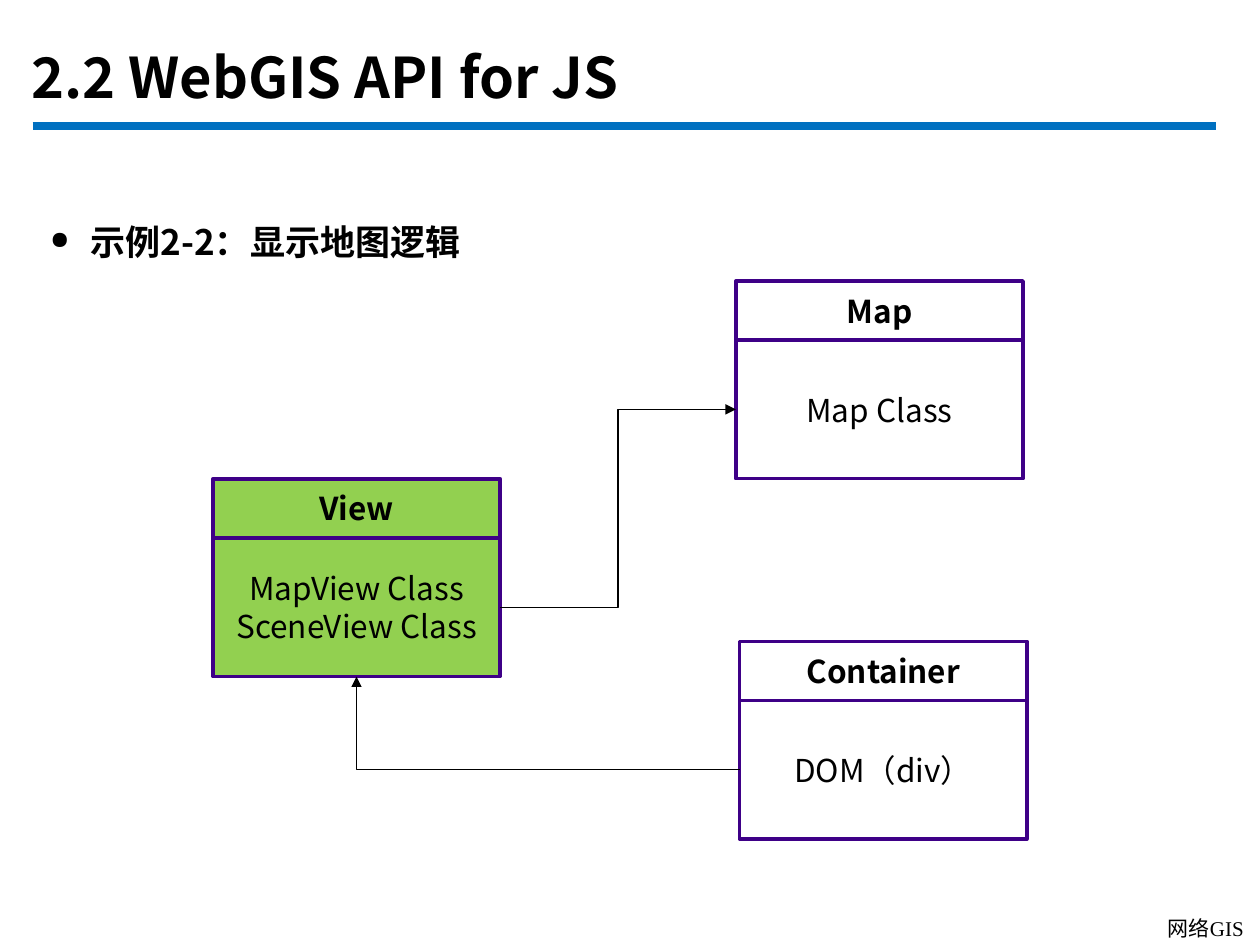
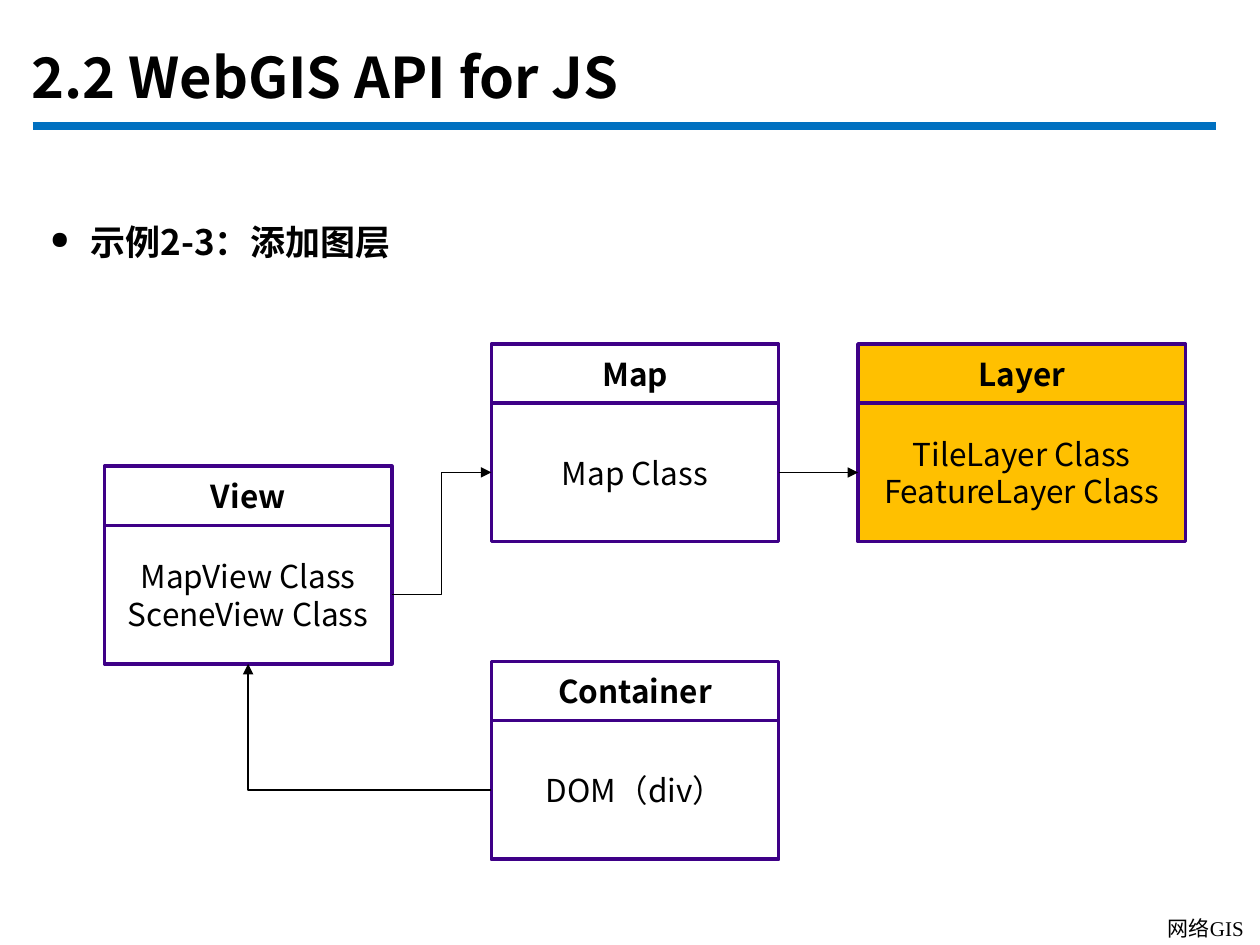
"""Builds two slides that show how the map classes of a web GIS relate."""
from dataclasses import dataclass

from lxml.etree import SubElement
from pptx import Presentation
from pptx.dml.color import RGBColor
from pptx.enum.shapes import MSO_CONNECTOR, MSO_SHAPE
from pptx.enum.text import MSO_ANCHOR, PP_ALIGN
from pptx.oxml.ns import qn
from pptx.util import Inches, Pt


@dataclass(frozen=True)
class Theme:
    text: RGBColor = RGBColor(0, 0, 0)
    rule: RGBColor = RGBColor(0x00, 0x70, 0xC0)
    outline: RGBColor = RGBColor(0x3E, 0x00, 0x87)
    white: RGBColor = RGBColor(0xFF, 0xFF, 0xFF)
    green: RGBColor = RGBColor(0x92, 0xD0, 0x50)
    amber: RGBColor = RGBColor(0xFF, 0xC0, 0x00)
    font: str = "Noto Sans CJK SC"
    footer_font: str = "Times New Roman"
    title_size: int = 32
    heading_size: int = 20
    class_size: int = 18
    footer_size: int = 12


theme = Theme()
HEADER_HEIGHT, BODY_HEIGHT = 0.47, 1.1
RIGHT, LEFT, BOTTOM = 3, 1, 2


def write(shape, text, size, bold=False, align=PP_ALIGN.LEFT, font=theme.font):
    """Fill a shape with text in one style."""
    shape.text_frame.text = text
    for paragraph in shape.text_frame.paragraphs:
        paragraph.alignment = align
        for span in paragraph.runs:
            span.font.name = font
            span.font.size = Pt(size)
            span.font.bold = bold
            span.font.color.rgb = theme.text
            SubElement(span.font._element, qn("a:ea")).set("typeface", theme.font)


def add_line(page, kind, ends, color, width):
    """Add a connector without a shadow between two points in inches."""
    line = page.shapes.add_connector(kind, *[Inches(value) for value in ends])
    line.line.color.rgb = color
    line.line.width = Pt(width)
    SubElement(line.element.spPr, qn("a:effectLst"))
    return line


view_text = "MapView Class\nSceneView Class"
layer_text = "TileLayer Class\nFeatureLayer Class"
slides = [
    {
        "heading": "示例2-2：显示地图逻辑",
        "classes": [
            ("Container", "DOM（div）", 5.87, 5.09, 2.28, theme.white),
            ("Map", "Map Class", 5.84, 2.23, 2.28, theme.white),
            ("View", view_text, 1.69, 3.8, 2.28, theme.green),
        ],
        "links": [
            ("View", RIGHT, "Map", LEFT, "bentConnector3"),
            ("Container", LEFT, "View", BOTTOM, "bentConnector2"),
        ],
    },
    {
        "heading": "示例2-3：添加图层",
        "classes": [
            ("Container", "DOM（div）", 3.9, 5.25, 2.28, theme.white),
            ("Map", "Map Class", 3.9, 2.73, 2.28, theme.white),
            ("View", view_text, 0.83, 3.7, 2.28, theme.white),
            ("Layer", layer_text, 6.81, 2.73, 2.6, theme.amber),
        ],
        "links": [
            ("View", RIGHT, "Map", LEFT, "bentConnector3"),
            ("Container", LEFT, "View", BOTTOM, "bentConnector2"),
            ("Map", RIGHT, "Layer", LEFT, "line"),
        ],
    },
]

deck = Presentation()
deck.slide_width, deck.slide_height = Inches(10), Inches(7.5)
title_only = deck.slide_layouts[5]

for content in slides:
    page = deck.slides.add_slide(title_only)
    add_line(page, MSO_CONNECTOR.STRAIGHT, (0.26, 1, 9.65, 1), theme.rule, 4.5)

    footer = page.shapes.add_textbox(Inches(6.1), Inches(7.23), Inches(3.87), Inches(0.27))
    footer.text_frame.word_wrap = True
    footer.text_frame.vertical_anchor = MSO_ANCHOR.MIDDLE
    write(footer, "网络GIS", theme.footer_size, align=PP_ALIGN.RIGHT, font=theme.footer_font)

    title = page.shapes.title
    title.left, title.top = Inches(0.15), Inches(0.25)
    title.width, title.height = Inches(9.67), Inches(0.67)
    title.text_frame.vertical_anchor = MSO_ANCHOR.BOTTOM
    write(title, "2.2 WebGIS API for JS", theme.title_size, bold=True)

    heading = page.shapes.add_textbox(Inches(0.3), Inches(1.7), Inches(9.34), Inches(0.79))
    heading.text_frame.word_wrap = True
    write(heading, content["heading"], theme.heading_size, bold=True)
    properties = heading.text_frame.paragraphs[0]._p.get_or_add_pPr()
    properties.set("marL", str(Inches(0.32)))
    properties.set("indent", str(-Inches(0.32)))
    SubElement(properties, qn("a:buSzPct")).set("val", "70000")
    SubElement(properties, qn("a:buChar")).set("char", "●")

    bodies = {}
    for name, members, left, top, width, fill in content["classes"]:
        parts = [
            (members, top + HEADER_HEIGHT, BODY_HEIGHT, False),
            (name, top, HEADER_HEIGHT, True),
        ]
        for text, part_top, height, is_header in parts:
            box = page.shapes.add_shape(
                MSO_SHAPE.RECTANGLE, Inches(left), Inches(part_top), Inches(width), Inches(height)
            )
            box.shadow.inherit = False
            box.fill.solid()
            box.fill.fore_color.rgb = fill
            box.line.color.rgb = theme.outline
            box.line.width = Pt(2)
            box.text_frame.vertical_anchor = MSO_ANCHOR.MIDDLE
            write(box, text, theme.class_size, bold=is_header, align=PP_ALIGN.CENTER)
            if not is_header:
                bodies[name] = box

    for source, source_side, target, target_side, route in content["links"]:
        kind = MSO_CONNECTOR.STRAIGHT if route == "line" else MSO_CONNECTOR.ELBOW
        arrow = add_line(page, kind, (0, 0, 0, 0), theme.text, 0.75)
        arrow.begin_connect(bodies[source], source_side)
        arrow.end_connect(bodies[target], target_side)
        arrow.element.spPr.find(qn("a:prstGeom")).set("prst", route)
        SubElement(arrow.line._get_or_add_ln(), qn("a:tailEnd")).set("type", "triangle")

deck.save("out.pptx")
